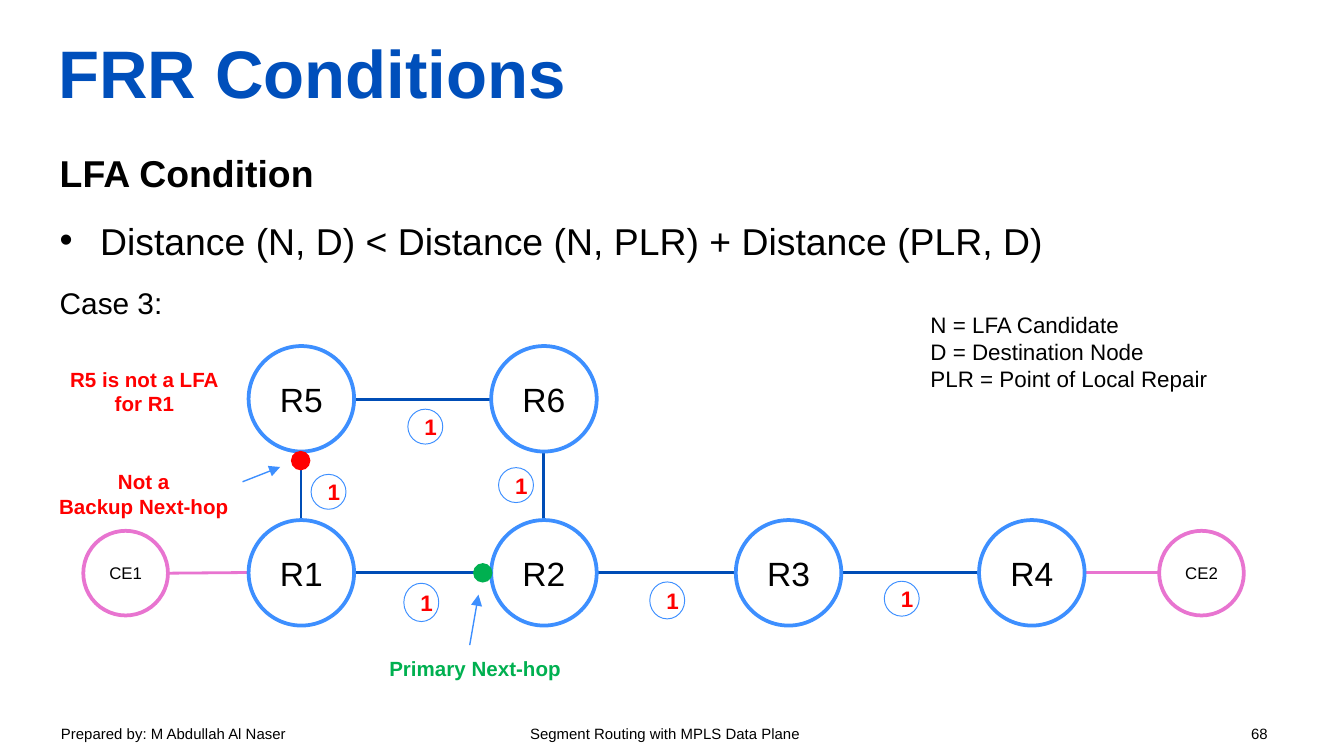
from dataclasses import dataclass
from typing import Any, Optional

from lxml.etree import SubElement
from pptx import Presentation
from pptx.dml.color import RGBColor
from pptx.enum.shapes import MSO_CONNECTOR, MSO_SHAPE
from pptx.enum.text import MSO_ANCHOR, PP_ALIGN
from pptx.oxml.ns import qn
from pptx.util import Pt

PX = 4572  # EMU per px, 200 px to the inch

BLACK = RGBColor(0x00, 0x00, 0x00)
NAVY = RGBColor(0x00, 0x4F, 0xBB)
LINK = RGBColor(0x00, 0x4D, 0xB6)
BLUE = RGBColor(0x3D, 0x8F, 0xFF)
PINK = RGBColor(0xE8, 0x74, 0xD0)
RED = RGBColor(0xFF, 0x00, 0x00)
GREEN = RGBColor(0x00, 0xB0, 0x50)


@dataclass(frozen=True)
class Line:
    text: str
    size: int
    color: RGBColor = BLACK
    bold: bool = False
    align: PP_ALIGN = PP_ALIGN.LEFT
    space: int = 0
    bullet: bool = False
    tabs: tuple[tuple[int, str], ...] = ()


@dataclass(frozen=True)
class Box:
    x: int
    y: int
    w: int
    h: int
    lines: tuple[Line, ...]
    wrap: bool = True
    inset: bool = True
    anchor: MSO_ANCHOR = MSO_ANCHOR.TOP


@dataclass(frozen=True)
class Ring:
    x: int
    y: int
    w: int
    h: int
    edge: Optional[RGBColor] = None
    width: float = 0
    fill: Optional[RGBColor] = None
    label: Optional[Line] = None


@dataclass(frozen=True)
class Wire:
    x1: int
    y1: int
    x2: int
    y2: int
    color: RGBColor = LINK
    width: float = 1.5
    arrow: bool = False


def assign(target: Any, values: dict[str, Any]) -> None:
    for name, value in values.items():
        setattr(target, name, value)


def write(frame: Any, lines: tuple[Line, ...]) -> None:
    for i, line in enumerate(lines):
        para = frame.add_paragraph() if i else frame.paragraphs[0]
        assign(para, {"alignment": line.align, "space_before": Pt(line.space)})
        props = para._p.get_or_add_pPr()
        if line.bullet:
            props.set("marL", str(60 * PX))
            props.set("indent", str(-60 * PX))
            SubElement(props, qn("a:buFont"), typeface="Arial")
            SubElement(props, qn("a:buChar"), char="•")
        if line.tabs:
            stops = SubElement(props, qn("a:tabLst"))
            for pos, kind in line.tabs:
                SubElement(stops, qn("a:tab"), pos=str(pos * PX), algn=kind)
        run = para.add_run()
        run.text = line.text
        assign(run.font, {"name": "Arial", "size": Pt(line.size), "bold": line.bold})
        run.font.color.rgb = line.color


def draw_box(shapes: Any, box: Box) -> None:
    shape = shapes.add_textbox(box.x * PX, box.y * PX, box.w * PX, box.h * PX)
    frame = shape.text_frame
    assign(frame, {"word_wrap": box.wrap, "vertical_anchor": box.anchor})
    if not box.inset:
        sides = ("left", "top", "right", "bottom")
        assign(frame, {f"margin_{side}": 0 for side in sides})
    write(frame, box.lines)


def draw_ring(shapes: Any, ring: Ring) -> None:
    shape = shapes.add_shape(
        MSO_SHAPE.OVAL, ring.x * PX, ring.y * PX, ring.w * PX, ring.h * PX)
    shape.shadow.inherit = False
    if ring.fill is None:
        shape.fill.background()
    else:
        shape.fill.solid()
        shape.fill.fore_color.rgb = ring.fill
    if ring.edge is None:
        shape.line.fill.background()
    else:
        shape.line.color.rgb = ring.edge
        shape.line.width = Pt(ring.width)
    if ring.label:
        assign(shape.text_frame,
               {"word_wrap": True, "vertical_anchor": MSO_ANCHOR.MIDDLE})
        write(shape.text_frame, (ring.label,))


def draw_wire(shapes: Any, wire: Wire) -> None:
    shape = shapes.add_connector(
        MSO_CONNECTOR.STRAIGHT,
        wire.x1 * PX, wire.y1 * PX, wire.x2 * PX, wire.y2 * PX)
    shape.line.color.rgb = wire.color
    shape.line.width = Pt(wire.width)
    if wire.arrow:
        SubElement(shape.line._get_or_add_ln(), qn("a:tailEnd"), type="triangle")
    SubElement(shape._element.spPr, qn("a:effectLst"))


def router(name: str, x: int, y: int) -> Ring:
    label = Line(name, 18, align=PP_ALIGN.CENTER)
    return Ring(x, y, SIZE, SIZE, BLUE, 2, label=label)


def edge(name: str, x: int) -> Ring:
    """Customer edge node."""
    label = Line(name, 9, align=PP_ALIGN.CENTER)
    return Ring(x, 790, 126, 126, PINK, 2, label=label)


def cost(x: int, y: int, h: int = 52) -> Ring:
    label = Line("1", 12, RED, True, PP_ALIGN.CENTER)
    return Ring(x, y, 52, h, BLUE, 0.5, label=label)


def note(x: int, y: int, w: int, h: int, color: RGBColor, *texts: str) -> Box:
    lines = tuple(Line(t, 11, color, True, PP_ALIGN.CENTER) for t in texts)
    return Box(x, y, w, h, lines, wrap=False)


SIZE = 157
TOP, LOW = 515, 774
COLS = (370, 731, 1095, 1457)

WIRES = (
    *(Wire(a + SIZE, 852, b, 852) for a, b in zip(COLS, COLS[1:])),
    *(Wire(x + 78, LOW, x + 78, TOP + SIZE) for x in COLS[:2]),
    Wire(COLS[0] + SIZE, 594, COLS[1], 594),
    Wire(250, 853, 370, 852, PINK),
    Wire(1724, 852, 1614, 852, PINK),
    Wire(699, 960, 712, 885, BLUE, 0.75, True),
    Wire(361, 717, 417, 695, BLUE, 0.75, True),
)

RINGS = (
    *(router(f"R{i}", x, LOW) for i, x in enumerate(COLS, 1)),
    *(router(f"R{i}", x, TOP) for i, x in enumerate(COLS[:2], 5)),
    edge("CE1", 124),
    edge("CE2", 1725),
    cost(607, 609), cost(463, 706), cost(742, 696),
    cost(601, 868, 57), cost(967, 866, 55), cost(1316, 865),
    Ring(704, 838, 29, 29, fill=GREEN),
    Ring(433, 671, 29, 29, fill=RED),
)

FOOT = "Prepared by: M Abdullah Al Naser\tSegment Routing with MPLS Data Plane\t68"
KEYS = ("N = LFA Candidate", "D = Destination Node", "PLR = Point of Local Repair")

BOXES = (
    Box(71, 1069, 1864, 50, (Line(FOOT, 8, tabs=((698, "l"), (1796, "r"))),)),
    Box(87, 12, 1826, 188, (Line("FRR Conditions", 36, NAVY, True),),
        inset=False, anchor=MSO_ANCHOR.MIDDLE),
    Box(89, 224, 1826, 826, (
        Line("LFA Condition", 20, bold=True),
        Line("Distance (N, D) < Distance (N, PLR) + Distance (PLR, D)", 20,
             space=12, bullet=True),
        Line("Case 3:", 16, space=12),
    ), inset=False),
    note(558, 967, 298, 58, GREEN, "Primary Next-hop"),
    note(67, 688, 294, 94, RED, "Not a", "Backup Next-hop"),
    note(83, 536, 264, 94, RED, "R5 is not a LFA", "for R1"),
    Box(1365, 453, 452, 142, tuple(Line(key, 12) for key in KEYS)),
)


def main() -> None:
    deck = Presentation()
    assign(deck, {"slide_width": 2000 * PX, "slide_height": 1125 * PX})
    shapes = deck.slides.add_slide(deck.slide_layouts[6]).shapes
    for box in BOXES:
        draw_box(shapes, box)
    for wire in WIRES:
        draw_wire(shapes, wire)
    for ring in RINGS:
        draw_ring(shapes, ring)
    deck.save("out.pptx")


if __name__ == "__main__":
    main()
